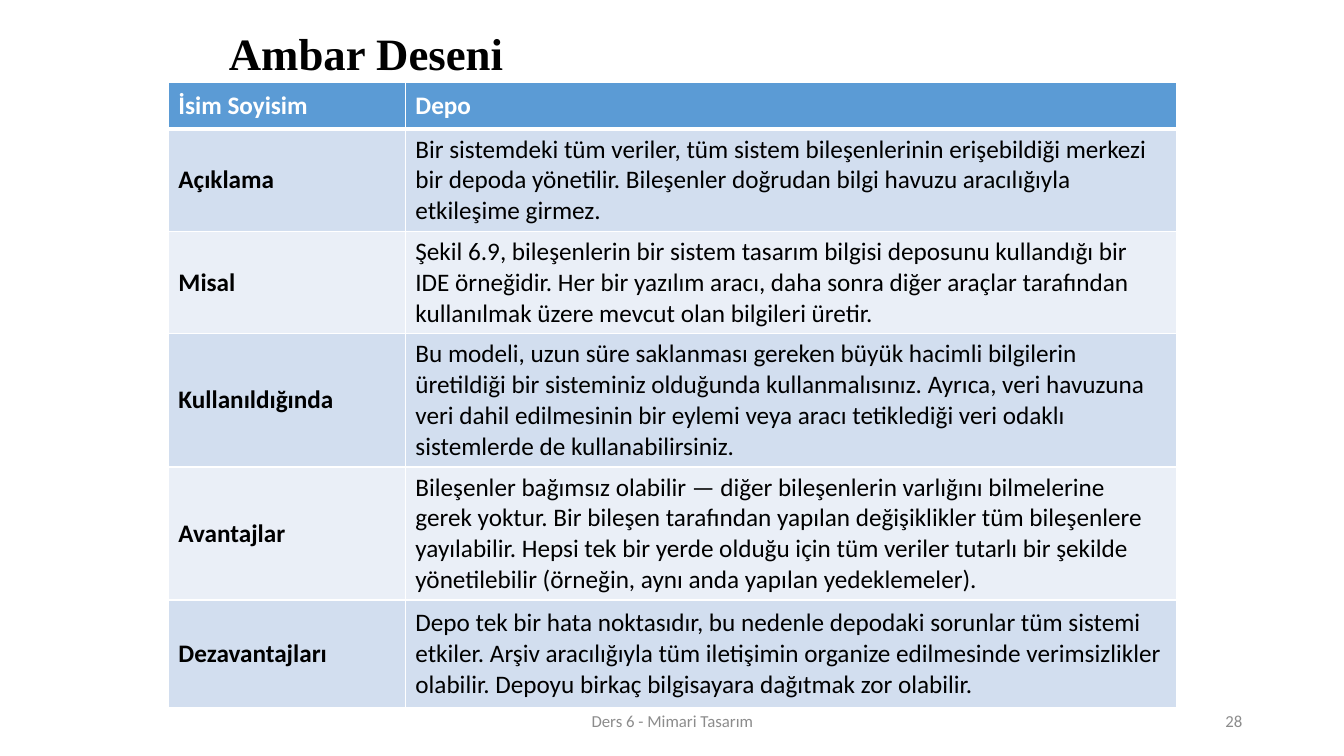
from lxml.etree import SubElement
from pptx import Presentation
from pptx.dml.color import RGBColor
from pptx.enum.text import MSO_ANCHOR as ANCHOR, MSO_AUTO_SIZE as AUTO, PP_ALIGN as ALIGN
from pptx.oxml.ns import qn
from pptx.util import Inches, Pt

BLACK = RGBColor(0x00, 0x00, 0x00)
WHITE = RGBColor(0xFF, 0xFF, 0xFF)
GRAY = RGBColor(0x8C, 0x8C, 0x8C)
HEADER = RGBColor(0x5B, 0x9B, 0xD5)
BANDS = (RGBColor(0xEA, 0xEF, 0xF7), RGBColor(0xD2, 0xDE, 0xEF))

COLUMNS = (2.35, 7.65)
ROWS = (0.46, 0.8, 0.8, 1.07, 1.07, 1.07)
FOOTER_TOP, FOOTER_HEIGHT = 6.95, 0.4

PATTERN = (
    ("İsim Soyisim", "Depo"),
    ("Açıklama",
     "Bir sistemdeki tüm veriler, tüm sistem bileşenlerinin erişebildiği merkezi "
     "bir depoda yönetilir. Bileşenler doğrudan bilgi havuzu aracılığıyla "
     "etkileşime girmez."),
    ("Misal",
     "Şekil 6.9, bileşenlerin bir sistem tasarım bilgisi deposunu kullandığı bir "
     "IDE örneğidir. Her bir yazılım aracı, daha sonra diğer araçlar tarafından "
     "kullanılmak üzere mevcut olan bilgileri üretir."),
    ("Kullanıldığında",
     "Bu modeli, uzun süre saklanması gereken büyük hacimli bilgilerin "
     "üretildiği bir sisteminiz olduğunda kullanmalısınız. Ayrıca, veri havuzuna "
     "veri dahil edilmesinin bir eylemi veya aracı tetiklediği veri odaklı "
     "sistemlerde de kullanabilirsiniz."),
    ("Avantajlar",
     "Bileşenler bağımsız olabilir — diğer bileşenlerin varlığını bilmelerine "
     "gerek yoktur. Bir bileşen tarafından yapılan değişiklikler tüm bileşenlere "
     "yayılabilir. Hepsi tek bir yerde olduğu için tüm veriler tutarlı bir şekilde "
     "yönetilebilir (örneğin, aynı anda yapılan yedeklemeler)."),
    ("Dezavantajları",
     "Depo tek bir hata noktasıdır, bu nedenle depodaki sorunlar tüm sistemi "
     "etkiler. Arşiv aracılığıyla tüm iletişimin organize edilmesinde verimsizlikler "
     "olabilir. Depoyu birkaç bilgisayara dağıtmak zor olabilir."),
)


def write(tf, text, size, color, name="Calibri", bold=False, align=ALIGN.LEFT):
    tf.text = text
    p = tf.paragraphs[0]
    p.alignment = align
    p.font.size = Pt(size)
    p.font.name = name
    p.font.bold = bold
    p.font.color.rgb = color
    return p


def set_title(slide, text):
    sp = slide.shapes.title
    sp.left, sp.top, sp.width, sp.height = map(Inches, (2.17, -0.07, 7.98, 1.25))
    tf = sp.text_frame
    tf.auto_size = AUTO.NONE
    tf.vertical_anchor = ANCHOR.MIDDLE
    p = write(tf, text, 32, BLACK, "Times New Roman", True)
    p.line_spacing = 0.9


def add_borders(cell, header):
    tc_pr = cell._tc.get_or_add_tcPr()
    for i, side in enumerate(("lnL", "lnR", "lnT", "lnB")):
        width = Pt(3 if header and side == "lnB" else 1)
        ln = SubElement(tc_pr, qn(f"a:{side}"), w=str(width))
        fill = SubElement(ln, qn("a:solidFill"))
        SubElement(fill, qn("a:srgbClr"), val=str(WHITE))
        tc_pr.insert(i, ln)


def add_pattern_table(slide):
    frame = slide.shapes.add_table(
        len(ROWS), len(COLUMNS), Inches(1.67), Inches(0.82),
        Inches(sum(COLUMNS)), Inches(sum(ROWS)))
    table = frame.table
    table.first_col = True
    for column, width in zip(table.columns, COLUMNS):
        column.width = Inches(width)
    for i, (row, height, texts) in enumerate(zip(table.rows, ROWS, PATTERN)):
        row.height = Inches(height)
        header = i == 0
        for j, (cell, text) in enumerate(zip(row.cells, texts)):
            cell.vertical_anchor = ANCHOR.MIDDLE
            cell.fill.solid()
            cell.fill.fore_color.rgb = HEADER if header else BANDS[i % 2]
            write(cell.text_frame, text, 18, WHITE if header else BLACK,
                  bold=header or j == 0)
            add_borders(cell, header)


def add_footer(slide, text, left, width, align):
    sp = slide.shapes.add_textbox(
        Inches(left), Inches(FOOTER_TOP), Inches(width), Inches(FOOTER_HEIGHT))
    tf = sp.text_frame
    tf.word_wrap = True
    tf.vertical_anchor = ANCHOR.MIDDLE
    write(tf, text, 12, GRAY, align=align)


def main():
    prs = Presentation()
    prs.slide_width, prs.slide_height = Inches(13.33), Inches(7.5)
    slide = prs.slides.add_slide(prs.slide_layouts[5])
    set_title(slide, "Ambar Deseni")
    add_pattern_table(slide)
    add_footer(slide, "28", 9.42, 3, ALIGN.RIGHT)
    add_footer(slide, "Ders 6 - Mimari Tasarım", 4.42, 4.5, ALIGN.CENTER)
    prs.save("out.pptx")


if __name__ == "__main__":
    main()
